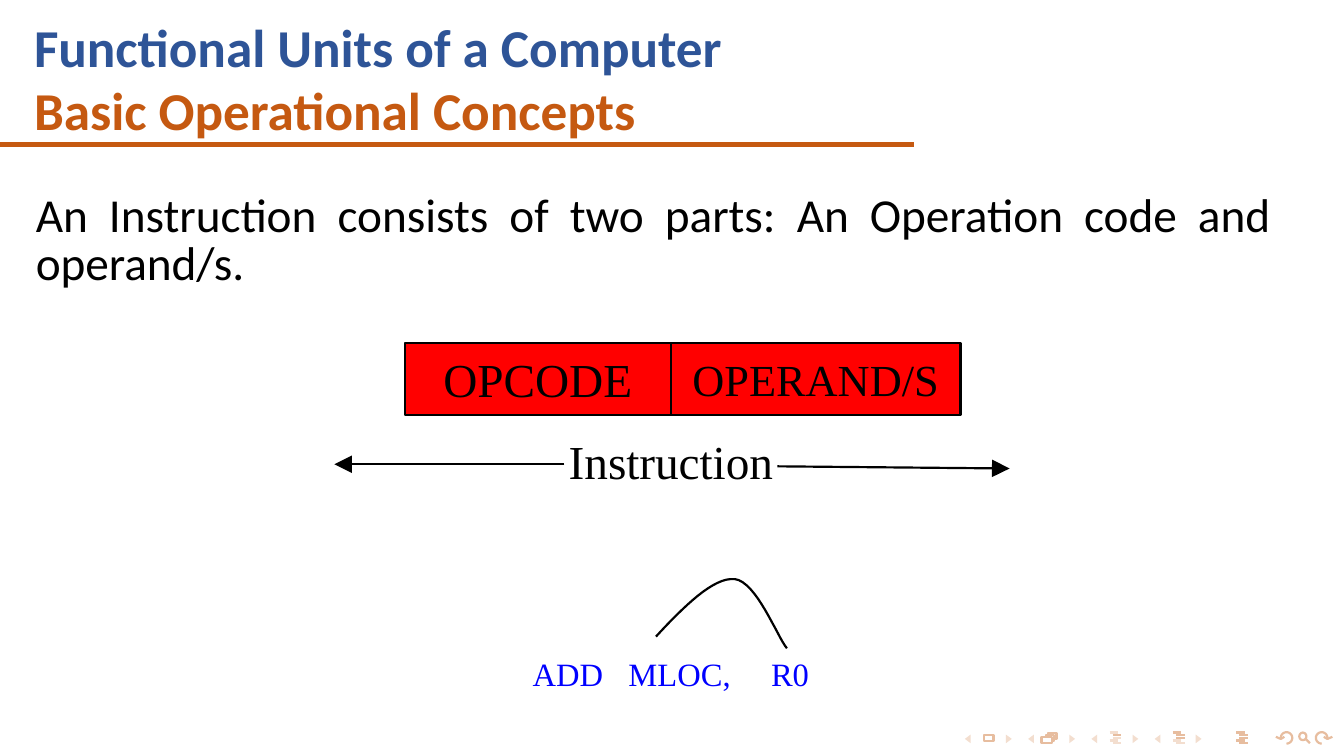
"""Build a slide on the two parts of a machine instruction."""
from math import cos, radians, sin

from lxml import etree
from pptx import Presentation
from pptx.dml.color import RGBColor
from pptx.enum.shapes import MSO_CONNECTOR, MSO_SHAPE
from pptx.enum.text import MSO_ANCHOR, PP_ALIGN
from pptx.oxml.ns import qn
from pptx.util import Inches, Pt

LEFT, CENTER, JUSTIFY = PP_ALIGN.LEFT, PP_ALIGN.CENTER, PP_ALIGN.JUSTIFY
TOP, MIDDLE = MSO_ANCHOR.TOP, MSO_ANCHOR.MIDDLE
STRAIGHT = MSO_CONNECTOR.STRAIGHT
RECT, OVAL = MSO_SHAPE.RECTANGLE, MSO_SHAPE.OVAL

BLACK = RGBColor(0, 0, 0)
RED = RGBColor(255, 0, 0)
BLUE = RGBColor(0, 0, 255)
NAVY = RGBColor(0x2E, 0x54, 0x97)
RUST = RGBColor(0xC5, 0x59, 0x11)
TAN = RGBColor(0xE7, 0xBD, 0x9F)
PALE = RGBColor(0xF3, 0xDE, 0xCF)
SANS, SERIF = "Calibri", "Times New Roman"

COLS, ROWS = 631, 355
CELL = Inches(0.01)

TITLE = [("Functional Units of a Computer", NAVY), ("Basic Operational Concepts", RUST)]
BODY = "An Instruction consists of two parts: An Operation code and operand/s."
FIELDS = [("OPCODE", 125, 16), ("OPERAND/S", 136, 15)]
FIELD_X, FIELD_Y, FIELD_H = 190, 161, 34
LABEL = "Instruction"
ARROWS = [((265, 218), (157, 218)), ((365, 219), (474, 220))]
CODE = "ADD\tMLOC,\tR0"
CODE_X, CODE_TABS = 250, (295, 362)
CURVES = [
    [(308, 299), (321, 285), (335, 271), (345, 272)],
    [(345, 272), (355, 273), (365, 299), (369.5, 304.5)],
]

NAV_Y, NAV_STEP, NAV_COUNT = 347, 29.7, 4
BAR_X, BAR_Y, BAR_W, BAR_GAP = 521, 344, 4, 1.25
BAR_SHIFT = (0, 1.5, 1.5, 0, 1.5)
BAR_TONES = [
    (PALE, TAN, PALE, PALE, PALE),
    (TAN, TAN, TAN, PALE, PALE),
    (TAN,) * 5,
]
PAGES = [
    [(489, 349), (494, 349), (494, 346), (489, 346), (489, 349)],
    [(491, 346), (491, 345), (495, 345), (495, 348), (494, 348)],
    [(492, 345), (492, 344), (496, 344), (496, 347), (495, 347)],
]
LOOP_X, LOOP_Y, LOOP_R, MIRROR = 604, 346.5, 2.7, 1224
HOOK = [(603, 346), (601.3, 347), (599, 346)]

deck = Presentation()
deck.slide_width, deck.slide_height = COLS * CELL, ROWS * CELL
slide = deck.slides.add_slide(deck.slide_layouts[6])
shapes = slide.shapes


def grid(*cells):
    return [round(cell * CELL) for cell in cells]


def paint(shape, fill=None, line=None, width=0.75):
    shape.shadow.inherit = False
    if fill is None:
        shape.fill.background()
    else:
        shape.fill.solid()
        shape.fill.fore_color.rgb = fill
    if line is None:
        shape.line.fill.background()
    else:
        shape.line.color.rgb = line
        shape.line.width = Pt(width)


def write(shape, text, size, font=SERIF, color=BLACK, bold=False, align=LEFT,
          anchor=TOP, space=None, inset=(10, 5), tabs=()):
    frame = shape.text_frame
    frame.word_wrap = True
    frame.vertical_anchor = anchor
    side, edge = grid(*inset)
    frame.margin_left = frame.margin_right = side
    frame.margin_top = frame.margin_bottom = edge
    para = frame.paragraphs[0]
    para.alignment = align
    if space:
        para.line_spacing = space
    if tabs:
        stops = etree.SubElement(para._p.get_or_add_pPr(), qn("a:tabLst"))
        for stop in grid(*tabs):
            etree.SubElement(stops, qn("a:tab"), pos=str(stop), algn="l")
    lines = [(text, color)] if isinstance(text, str) else text
    for row, (words, tone) in enumerate(lines):
        if row:
            para.add_line_break()
        run = para.add_run()
        run.text = words
        run.font.name, run.font.size, run.font.bold = font, Pt(size), bold
        run.font.color.rgb = tone


def draw(start, end, color, width=0.75, arrow=False):
    line = shapes.add_connector(STRAIGHT, *grid(*start, *end))
    line.line.color.rgb = color
    line.line.width = Pt(width)
    if arrow:
        etree.SubElement(line.line._get_or_add_ln(), qn("a:tailEnd"), type="triangle")
    etree.SubElement(line._element.spPr, qn("a:effectLst"))


def trace(paths, close=False, **style):
    first = paths[0]
    pen = shapes.build_freeform(*grid(*first[0]))
    for path in paths:
        if path is not first:
            pen.move_to(*grid(*path[0]))
        pen.add_line_segments([grid(*point) for point in path[1:]], close=close)
    paint(pen.convert_to_shape(), **style)


def bend(ends, steps=16):
    a, b, c, d = ends
    for step in range(steps + 1):
        t = step / steps
        u = 1 - t
        yield tuple(u**3 * a[i] + 3 * u * u * t * b[i] + 3 * u * t * t * c[i] + t**3 * d[i]
                    for i in (0, 1))


def flip(path):
    return [(MIRROR + 0.5 - x, y) for x, y in path]


def add_nav():
    paint(shapes.add_shape(RECT, *grid(462, 345, 4.5, 3)), line=TAN)
    for i in range(NAV_COUNT):
        left, right = 453 + i * NAV_STEP, 475 + i * NAV_STEP
        trace([[(tip, NAV_Y), (base, NAV_Y - 2), (base, NAV_Y + 2)]
               for tip, base in ((left, left + 2.7), (right, right - 2.7))],
              close=True, fill=PALE)
    trace(PAGES, line=TAN)
    for i, tones in enumerate(BAR_TONES):
        for row, (tone, shift) in enumerate(zip(tones, BAR_SHIFT)):
            x, y = BAR_X + i * NAV_STEP + shift, BAR_Y + row * BAR_GAP
            draw((x, y), (x + BAR_W, y), tone)
    loop = [(LOOP_X + LOOP_R * cos(radians(turn)), LOOP_Y + LOOP_R * sin(radians(turn)))
            for turn in range(90, -181, -15)]
    trace([loop, HOOK, flip(loop), flip(HOOK)], line=TAN)
    paint(shapes.add_shape(OVAL, *grid(610, 344, 3.4, 3.6)), line=TAN)
    draw((613, 347), (615, 349), TAN)


def add_text():
    draw((0, 68), (429, 68), RUST, width=1.56)
    write(shapes.add_textbox(*grid(16, 6, 492, 62)), TITLE, 18, font=SANS,
          bold=True, inset=(0, 0.5))
    write(shapes.add_textbox(*grid(7, 86, 600, 167)), BODY, 16, font=SANS,
          align=JUSTIFY, space=0.85)


def add_format():
    x = FIELD_X
    for name, width, size in FIELDS:
        field = shapes.add_shape(RECT, *grid(x, FIELD_Y, width, FIELD_H))
        paint(field, fill=RED, line=BLACK)
        write(field, name, size, align=CENTER, anchor=MIDDLE, inset=(0, 5))
        x += width
    write(shapes.add_textbox(*grid(219, 203, 192, 32)), LABEL, 16, align=CENTER, space=0.8)
    for start, end in ARROWS:
        draw(start, end, BLACK, arrow=True)


def add_sample():
    write(shapes.add_textbox(*grid(CODE_X, 302, 298, 29)), CODE, 11, color=BLUE,
          inset=(0, 5), tabs=[stop - CODE_X for stop in CODE_TABS])
    head, tail = [list(bend(ends)) for ends in CURVES]
    trace([head + tail[1:]], line=BLACK)


if __name__ == "__main__":
    add_nav()
    add_text()
    add_format()
    add_sample()
    deck.save("out.pptx")
